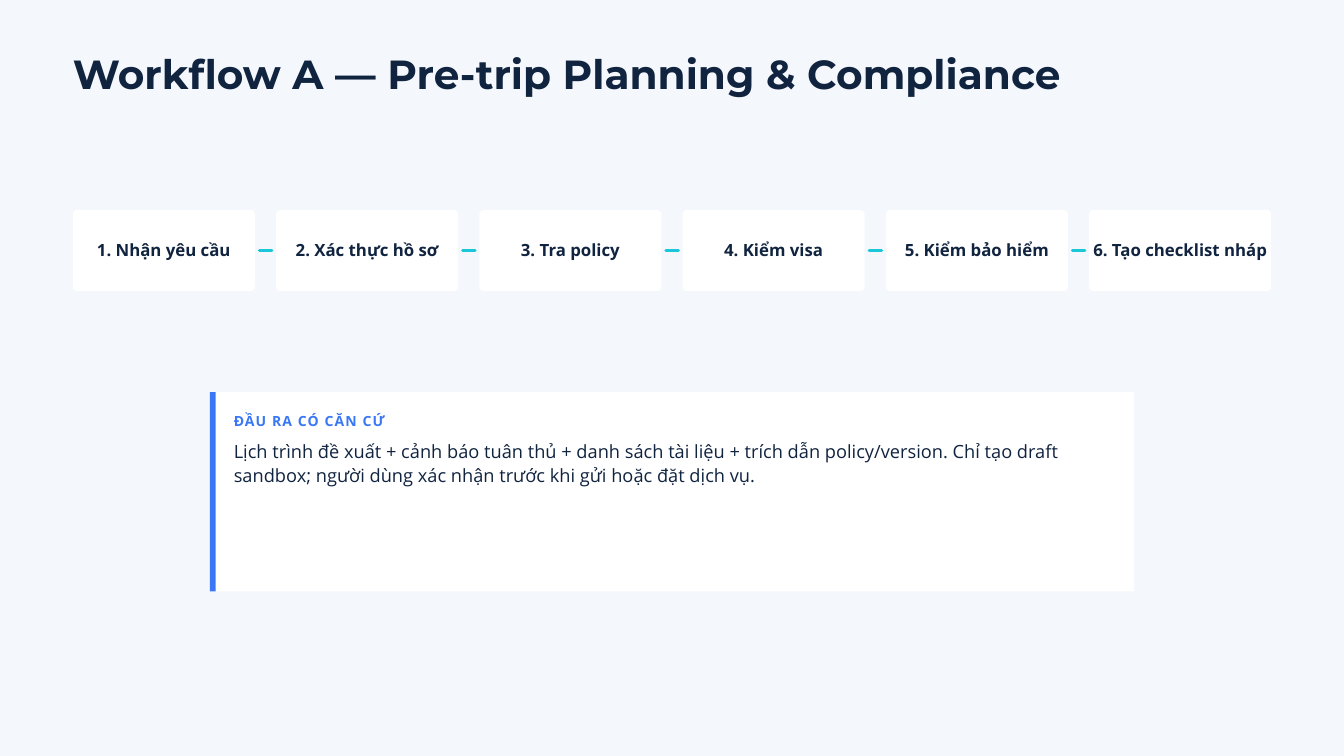
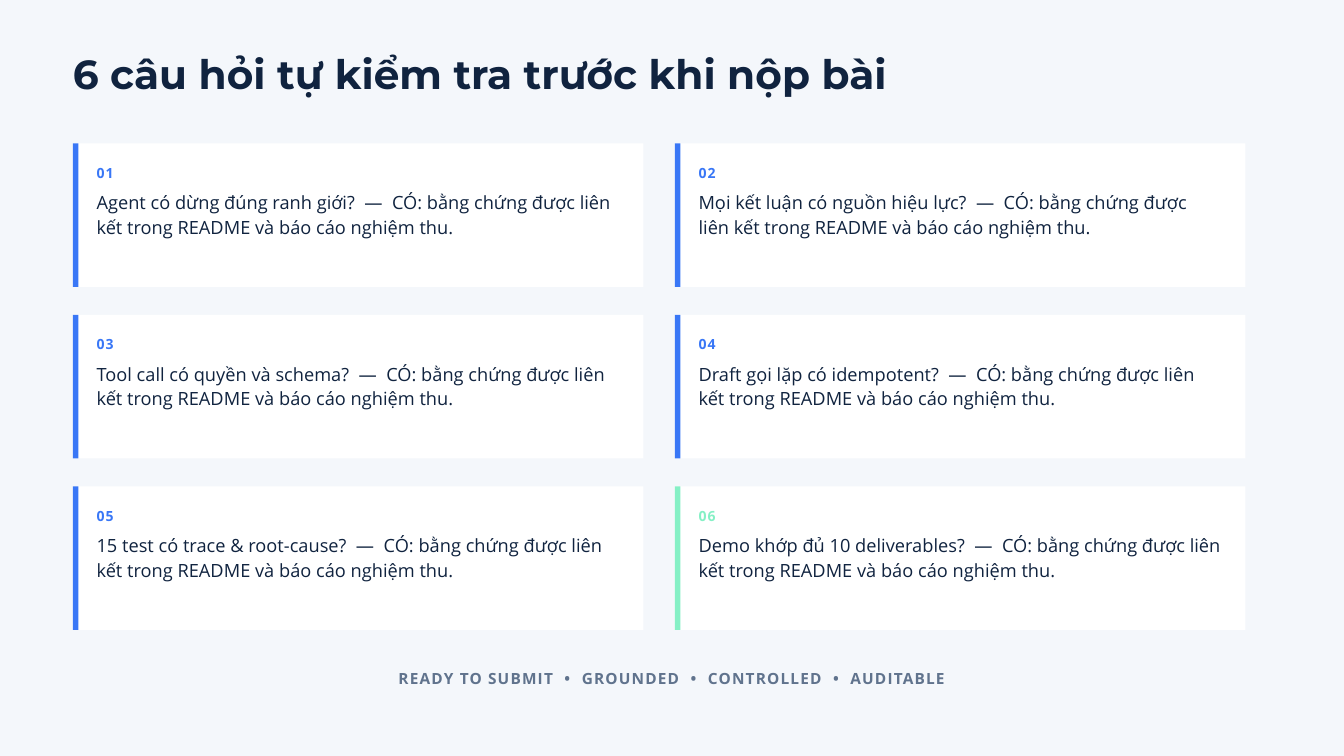
import pptx
import pptx.util
import pptx.dml.color
import pptx.enum.shapes
import pptx.enum.text
import lxml.etree

PX = 9525
LEFT, CONTENT_W = 104, 1712
COLORS = {
    "background": "F4F7FB",
    "card": "FFFFFF",
    "ink": "10233F",
    "blue": "3977F6",
    "mint": "85F0C5",
    "cyan": "19C7D8",
    "muted": "60738D",
}
STEPS = [
    "Nhận yêu cầu",
    "Xác thực hồ sơ",
    "Tra policy",
    "Kiểm visa",
    "Kiểm bảo hiểm",
    "Tạo checklist nháp",
]
QUESTIONS = [
    "Agent có dừng đúng ranh giới?",
    "Mọi kết luận có nguồn hiệu lực?",
    "Tool call có quyền và schema?",
    "Draft gọi lặp có idempotent?",
    "15 test có trace & root-cause?",
    "Demo khớp đủ 10 deliverables?",
]
ANSWER = "CÓ: bằng chứng được liên kết trong README và báo cáo nghiệm thu."
ALIGN = pptx.enum.text.PP_ALIGN
ANCHOR = pptx.enum.text.MSO_ANCHOR
SHAPES = pptx.enum.shapes.MSO_SHAPE


def px(*lengths):
    return [pptx.util.Emu(round(n * PX)) for n in lengths]


def rgb(name):
    return pptx.dml.color.RGBColor.from_string(COLORS[name])


def write(sp, text, size, leading, color="ink", font="Open Sans", bold=False,
          align=ALIGN.LEFT, anchor=ANCHOR.TOP, spacing=0, wrap=True):
    tf = sp.text_frame
    tf.auto_size = pptx.enum.text.MSO_AUTO_SIZE.NONE
    tf.word_wrap = wrap
    tf.vertical_anchor = anchor
    tf.margin_left = tf.margin_right = tf.margin_top = tf.margin_bottom = 0
    p = tf.paragraphs[0]
    p.alignment = align
    p.line_spacing = pptx.util.Pt(leading)
    r = p.add_run()
    r.text = text
    r.font.name = font
    r.font.size = pptx.util.Pt(size)
    r.font.bold = bold
    r.font.color.rgb = rgb(color)
    if spacing:
        r._r.get_or_add_rPr().set("spc", str(round(spacing * 100)))


def add_text(s, x, y, w, h, text, **style):
    write(s.shapes.add_textbox(*px(x, y, w, h)), text, **style)


def add_block(s, x, y, w, h, color, radius=0):
    kind = SHAPES.ROUNDED_RECTANGLE if radius else SHAPES.RECTANGLE
    sp = s.shapes.add_shape(kind, *px(x, y, w, h))
    if radius:
        sp.adjustments[0] = radius / min(w, h)
    sp.shadow.inherit = False
    sp.fill.solid()
    sp.fill.fore_color.rgb = rgb(color)
    sp.line.fill.background()
    return sp


def add_dash(s, x, y, length):
    line = s.shapes.add_connector(
        pptx.enum.shapes.MSO_CONNECTOR.STRAIGHT, *px(x, y, x + length, y))
    line.line.color.rgb = rgb("cyan")
    line.line.width = pptx.util.Pt(3)
    line.line._get_or_add_ln().set("cap", "rnd")
    lxml.etree.SubElement(line._element.spPr, pptx.oxml.ns.qn("a:effectLst"))


def add_card(s, x, y, w, h, label, body, accent="blue"):
    add_block(s, x, y, w, h, "card")
    add_block(s, x, y, 8, h, accent)
    add_text(s, x + 34, y + 26, w - 68, 26, label,
             size=15, leading=21, color=accent, bold=True, spacing=1.2)
    add_text(s, x + 34, y + 65, w - 68, 69, body, size=19.5, leading=26.3)


def add_slide(prs, title):
    s = prs.slides.add_slide(prs.slide_layouts[5])
    sp = s.shapes.title
    sp.left, sp.top, sp.width, sp.height = px(LEFT, 79, CONTENT_W, 62)
    write(sp, title, size=43.5, leading=45.2, font="Montserrat", bold=True)
    return s


def build_workflow(prs):
    s = add_slide(prs, "Workflow A — Pre-trip Planning & Compliance")
    step_w, step_h, top = 260, 116, 300
    pitch = (CONTENT_W - step_w) / (len(STEPS) - 1)
    for i, step in enumerate(STEPS):
        x = LEFT + i * pitch
        if i:
            add_dash(s, x - 24, top + step_h / 2, 18)
        sp = add_block(s, x, top, step_w, step_h, "card", radius=6)
        write(sp, f"{i + 1}. {step}", size=18, leading=20.7, bold=True,
              align=ALIGN.CENTER, anchor=ANCHOR.MIDDLE, wrap=False)
    add_card(s, 300, 560, 1320, 285, "ĐẦU RA CÓ CĂN CỨ",
             "Lịch trình đề xuất + cảnh báo tuân thủ + danh sách tài liệu + "
             "trích dẫn policy/version. Chỉ tạo draft sandbox; người dùng "
             "xác nhận trước khi gửi hoặc đặt dịch vụ.")


def build_checklist(prs):
    s = add_slide(prs, "6 câu hỏi tự kiểm tra trước khi nộp bài")
    for i, question in enumerate(QUESTIONS):
        row, col = divmod(i, 2)
        accent = "mint" if i == len(QUESTIONS) - 1 else "blue"
        add_card(s, LEFT + col * 860, 205 + row * 245, 815, 205,
                 f"{i + 1:02}", f"{question}  —  {ANSWER}", accent)
    add_text(s, LEFT, 951, CONTENT_W, 30,
             "READY TO SUBMIT  •  GROUNDED  •  CONTROLLED  •  AUDITABLE",
             size=16.5, leading=23.1, color="muted", bold=True,
             align=ALIGN.CENTER, spacing=1.3)


def main():
    prs = pptx.Presentation()
    prs.slide_width, prs.slide_height = px(1920, 1080)
    fill = prs.slide_master.background.fill
    fill.solid()
    fill.fore_color.rgb = rgb("background")
    build_workflow(prs)
    build_checklist(prs)
    prs.save("out.pptx")


if __name__ == "__main__":
    main()
